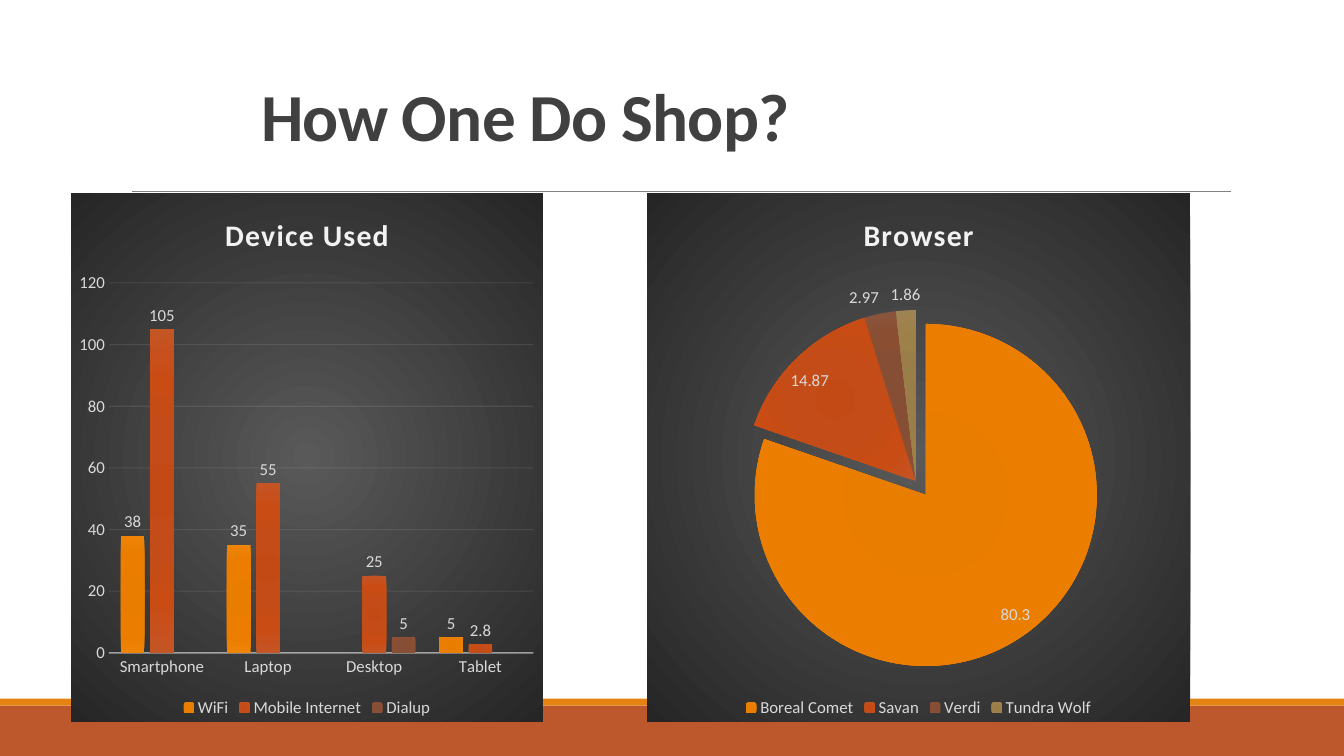
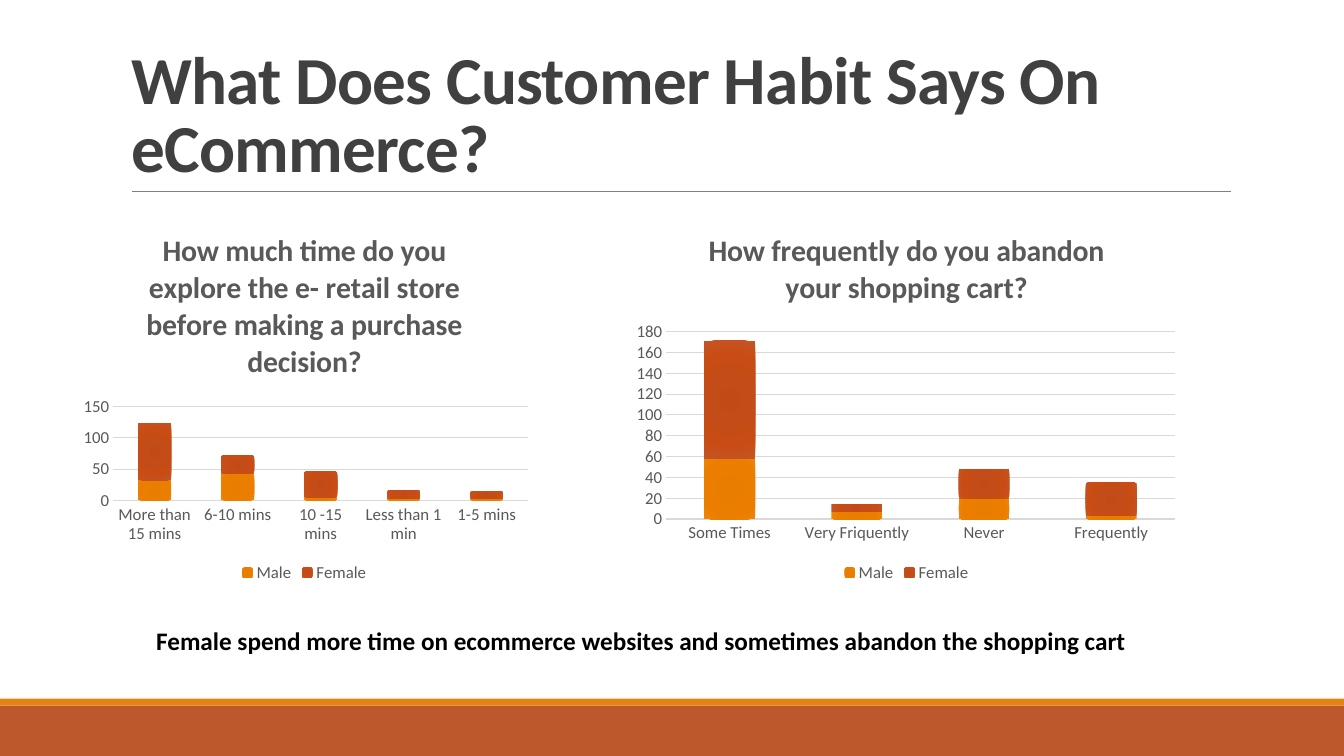
from dataclasses import dataclass

from pptx import Presentation
from pptx.chart.data import CategoryChartData
from pptx.dml.color import RGBColor
from pptx.enum.chart import XL_CHART_TYPE, XL_LABEL_POSITION, XL_LEGEND_POSITION, XL_TICK_MARK
from pptx.enum.shapes import MSO_CONNECTOR, MSO_SHAPE
from pptx.enum.text import MSO_ANCHOR, MSO_AUTO_SIZE, PP_ALIGN
from pptx.oxml import parse_xml
from pptx.oxml.ns import nsdecls, qn
from pptx.util import Inches, Pt

CLUSTERED = XL_CHART_TYPE.COLUMN_CLUSTERED
STACKED = XL_CHART_TYPE.COLUMN_STACKED
PIE = XL_CHART_TYPE.PIE
OUTSIDE_END = XL_LABEL_POSITION.OUTSIDE_END
BEST_FIT = XL_LABEL_POSITION.BEST_FIT
LEGEND_BOTTOM = XL_LEGEND_POSITION.BOTTOM
NO_TICK = XL_TICK_MARK.NONE
RECTANGLE = MSO_SHAPE.RECTANGLE
STRAIGHT = MSO_CONNECTOR.STRAIGHT
ANCHOR_BOTTOM = MSO_ANCHOR.BOTTOM
NO_AUTOFIT = MSO_AUTO_SIZE.NONE
LEFT = PP_ALIGN.LEFT

WIDTH, HEIGHT = Inches(13.33), Inches(7.5)
FONT = "Calibri"
TITLE_ONLY = 5
RUST, ORANGE, RULE_GREY = "BD582C", "E48312", "808080"
TITLE_GREY, BLACK = "404040", "000000"
STOPS = (0, 34, 70, 100)
SERIES_GRADIENTS = [
    tuple(zip(STOPS, shades))
    for shades in (
        ("E57B00", "E87D00", "EB7E00", "EF8407"),
        ("C44A15", "C34C18", "C94C15", "C45525"),
        ("874C32", "864E34", "8A4E33", "8A553D"),
        ("9A7D48", "9A7E4A", "9E8049", "9E8454"),
    )
]
PANEL_GRADIENT = ((0, "595959"), (100, "262626"))


@dataclass
class ChartLook:
    text: str
    heading: str
    line: str
    axis_alpha: int = 100
    grid_alpha: int = 100
    spacing: int = 0
    panel: bool = False


DARK = ChartLook("D9D9D9", "F2F2F2", "F2F2F2", 54, 10, 100, True)
LIGHT = ChartLook("595959", "595959", "D9D9D9")


def rgb(value):
    return RGBColor.from_string(value)


def place(left, top, width, height):
    return (
        int(WIDTH * left / 100),
        int(HEIGHT * top / 100),
        int(WIDTH * width / 100),
        int(HEIGHT * height / 100),
    )


def style_font(font, size, color, bold=False):
    font.name = FONT
    font.size = Pt(size)
    font.bold = bold
    font.color.rgb = rgb(color)


def style_run(run, size, color, spacing=0):
    style_font(run.font, size, color, True)
    if spacing:
        run._r.get_or_add_rPr().set("spc", str(spacing))


def style_line(line, color, width, alpha=100):
    line.color.rgb = rgb(color)
    line.width = Pt(width)
    if alpha < 100:
        color_node = next(line.fill._xPr.iter(qn("a:srgbClr")))
        color_node.append(parse_xml(f'<a:alpha {nsdecls("a")} val="{alpha * 1000}"/>'))


def radial_gradient(stops, focus):
    edge = focus * 1000
    marks = "".join(
        f'<a:gs pos="{position * 1000}"><a:srgbClr val="{color}"/></a:gs>'
        for position, color in stops
    )
    return parse_xml(
        f'<a:gradFill {nsdecls("a")} rotWithShape="1"><a:gsLst>{marks}</a:gsLst>'
        f'<a:path path="circle"><a:fillToRect l="{edge}" t="{edge}" r="{edge}" b="{edge}"/>'
        "</a:path></a:gradFill>"
    )


def fill_radial(fill, stops):
    fill.solid()
    properties = fill._xPr
    properties.replace(properties.find(qn("a:solidFill")), radial_gradient(stops, 100))
    return properties


def add_panel(chart):
    panel = parse_xml(f'<c:spPr {nsdecls("c", "a")}><a:ln><a:noFill/></a:ln></c:spPr>')
    panel.insert(0, radial_gradient(PANEL_GRADIENT, 50))
    chart._chartSpace.find(qn("c:chart")).addnext(panel)


def set_plot_box(chart, shares):
    plot_area = next(chart._chartSpace.iter(qn("c:plotArea")))
    for automatic in plot_area.findall(qn("c:layout")):
        plot_area.remove(automatic)
    sizes = "".join(f'<c:{key} val="{share}"/>' for key, share in zip("xywh", shares))
    plot_area.insert(0, parse_xml(
        f'<c:layout {nsdecls("c")}><c:manualLayout><c:layoutTarget val="inner"/>'
        f'<c:xMode val="edge"/><c:yMode val="edge"/>{sizes}</c:manualLayout></c:layout>'
    ))


def drop_legend_entry(chart, index):
    position = next(chart._chartSpace.iter(qn("c:legendPos")))
    position.addnext(parse_xml(
        f'<c:legendEntry {nsdecls("c")}><c:idx val="{index}"/><c:delete val="1"/></c:legendEntry>'
    ))


def add_chart(slide, box, kind, heading, categories, series, look, plot_box):
    data = CategoryChartData()
    data.categories = categories
    for name, values in series.items():
        data.add_series(name, values)
    chart = slide.shapes.add_chart(kind, *place(*box), data).chart
    if look.panel:
        add_panel(chart)
    style_font(chart.font, 12, look.text)
    chart.has_title = True
    heading_frame = chart.chart_title.text_frame
    heading_frame.text = heading
    style_run(heading_frame.paragraphs[0].runs[0], 21.3, look.heading, look.spacing)
    chart.chart_title.include_in_layout = False
    chart.has_legend = True
    chart.legend.position = LEGEND_BOTTOM
    chart.legend.include_in_layout = False
    style_font(chart.legend.font, 12, look.text)
    for index, values in enumerate(series.values()):
        if not any(values):
            drop_legend_entry(chart, index)
    set_plot_box(chart, plot_box)
    return chart


def add_value_labels(plot, position, look):
    plot.has_data_labels = True
    labels = plot.data_labels
    labels.show_value = True
    labels.show_percentage = False
    labels.position = position
    style_font(labels.font, 12, look.text)


def add_columns(slide, box, kind, heading, categories, series, look, plot_box,
                gap, overlap, top_value, step):
    chart = add_chart(slide, box, kind, heading, categories, series, look, plot_box)
    plot = chart.plots[0]
    plot.vary_by_categories = False
    plot.gap_width = gap
    plot.overlap = overlap
    for bars, gradient in zip(plot.series, SERIES_GRADIENTS):
        fill_radial(bars.format.fill, gradient)
        bars.invert_if_negative = False
    for axis in (chart.category_axis, chart.value_axis):
        axis.major_tick_mark = axis.minor_tick_mark = NO_TICK
        style_font(axis.tick_labels.font, 12, look.text)
    style_line(chart.category_axis.format.line, look.line, 1, look.axis_alpha)
    scale = chart.value_axis
    scale.minimum_scale, scale.maximum_scale, scale.major_unit = 0, top_value, step
    scale.format.line.fill.background()
    style_line(scale.major_gridlines.format.line, look.line, 0.75, look.grid_alpha)
    return plot


def add_pie(slide, box, heading, shares, look, plot_box, explosion):
    chart = add_chart(slide, box, PIE, heading, list(shares),
                      {heading: list(shares.values())}, look, plot_box)
    plot = chart.plots[0]
    plot.vary_by_categories = True
    for index, gradient in enumerate(SERIES_GRADIENTS):
        properties = fill_radial(plot.series[0].points[index].format.fill, gradient)
        if index == 0:
            properties.addprevious(
                parse_xml(f'<c:explosion {nsdecls("c")} val="{explosion}"/>'))
    add_value_labels(plot, BEST_FIT, look)


def add_band(slide, box, color):
    band = slide.shapes.add_shape(RECTANGLE, *place(*box))
    band.shadow.inherit = False
    band.fill.solid()
    band.fill.fore_color.rgb = rgb(color)
    band.line.fill.background()


def add_frame(slide):
    add_band(slide, (0, 93.33, 100, 6.67), RUST)
    add_band(slide, (0, 92.4, 100, 0.93), ORANGE)
    left, top, width, _ = place(9.83, 25.33, 81.77, 0)
    rule = slide.shapes.add_connector(STRAIGHT, left, top, left + width, top)
    style_line(rule.line, RULE_GREY, 0.5)
    rule._element.spPr.append(parse_xml(f'<a:effectLst {nsdecls("a")}/>'))


def add_titled_slide(deck, title_text, left, top):
    slide = deck.slides.add_slide(deck.slide_layouts[TITLE_ONLY])
    add_frame(slide)
    title = slide.shapes.title
    title.left, title.top, title.width, title.height = place(left, top, 82.5, 21.2)
    frame = title.text_frame
    frame.text = title_text
    frame.word_wrap = True
    frame.auto_size = NO_AUTOFIT
    frame.vertical_anchor = ANCHOR_BOTTOM
    paragraph = frame.paragraphs[0]
    paragraph.alignment = LEFT
    paragraph.line_spacing = 0.85
    style_run(paragraph.runs[0], 48, TITLE_GREY, -50)
    return slide


def add_takeaway(slide, box, text):
    frame = slide.shapes.add_textbox(*place(*box)).text_frame
    frame.text = text
    frame.word_wrap = False
    style_run(frame.paragraphs[0].runs[0], 18, BLACK)


def build_shopping_slide(deck):
    slide = add_titled_slide(deck, "How One Do Shop?", 18.68, 0)
    devices = add_columns(
        slide, (5.3, 25.55, 35.1, 69.9), CLUSTERED, "Device Used",
        ["Smartphone", "Laptop", "Desktop", "Tablet"],
        {
            "WiFi": (38, 35, None, 5),
            "Mobile Internet": (105, 55, 25, 2.8),
            "Dialup": (None, None, 5, None),
        },
        DARK, (0.08, 0.17, 0.9, 0.7), 100, -24, 120, 20)
    add_value_labels(devices, OUTSIDE_END, DARK)
    add_pie(
        slide, (48.15, 25.55, 40.4, 69.9), "Browser",
        {"Boreal Comet": 80.3, "Savan": 14.87, "Verdi": 2.97, "Tundra Wolf": 1.86},
        DARK, (0.18, 0.22, 0.63, 0.65), 10)


def build_habit_slide(deck):
    slide = add_titled_slide(deck, "What Does Customer Habit Says On eCommerce?", 9, 4.13)
    questions = (
        (5.3, 34.7, "How much time do you explore the e- retail store before making a purchase decision?",
         ["More than 15 mins", "6-10 mins", "10 -15 mins", "Less than 1 min", "1-5 mins"],
         (32, 43, 5, 3, 3), (91, 28, 41, 12, 11), (0.09, 0.52, 0.89, 0.25), 150, 50),
        (46.65, 41.6, "How frequently do you abandon your shopping cart?",
         ["Some Times", "Very Friquently", "Never", "Frequently"],
         (58, 7, 20, 3), (113, 7, 28, 32), (0.07, 0.32, 0.91, 0.5), 180, 20),
    )
    for left, width, question, answers, male, female, plot_box, top_value, step in questions:
        unanswered = (None,) * len(answers)
        add_columns(slide, (left, 28, width, 49.6), STACKED, question, answers,
                    {"Male": male, "Female": female, "Series 3": unanswered},
                    LIGHT, plot_box, 150, 100, top_value, step)
    add_takeaway(slide, (10.88, 82.05, 74.2, 5.33),
                 "Female spend more time on ecommerce websites and sometimes abandon the shopping cart")


def main():
    deck = Presentation()
    deck.slide_width, deck.slide_height = WIDTH, HEIGHT
    build_shopping_slide(deck)
    build_habit_slide(deck)
    deck.save("out.pptx")


if __name__ == "__main__":
    main()
